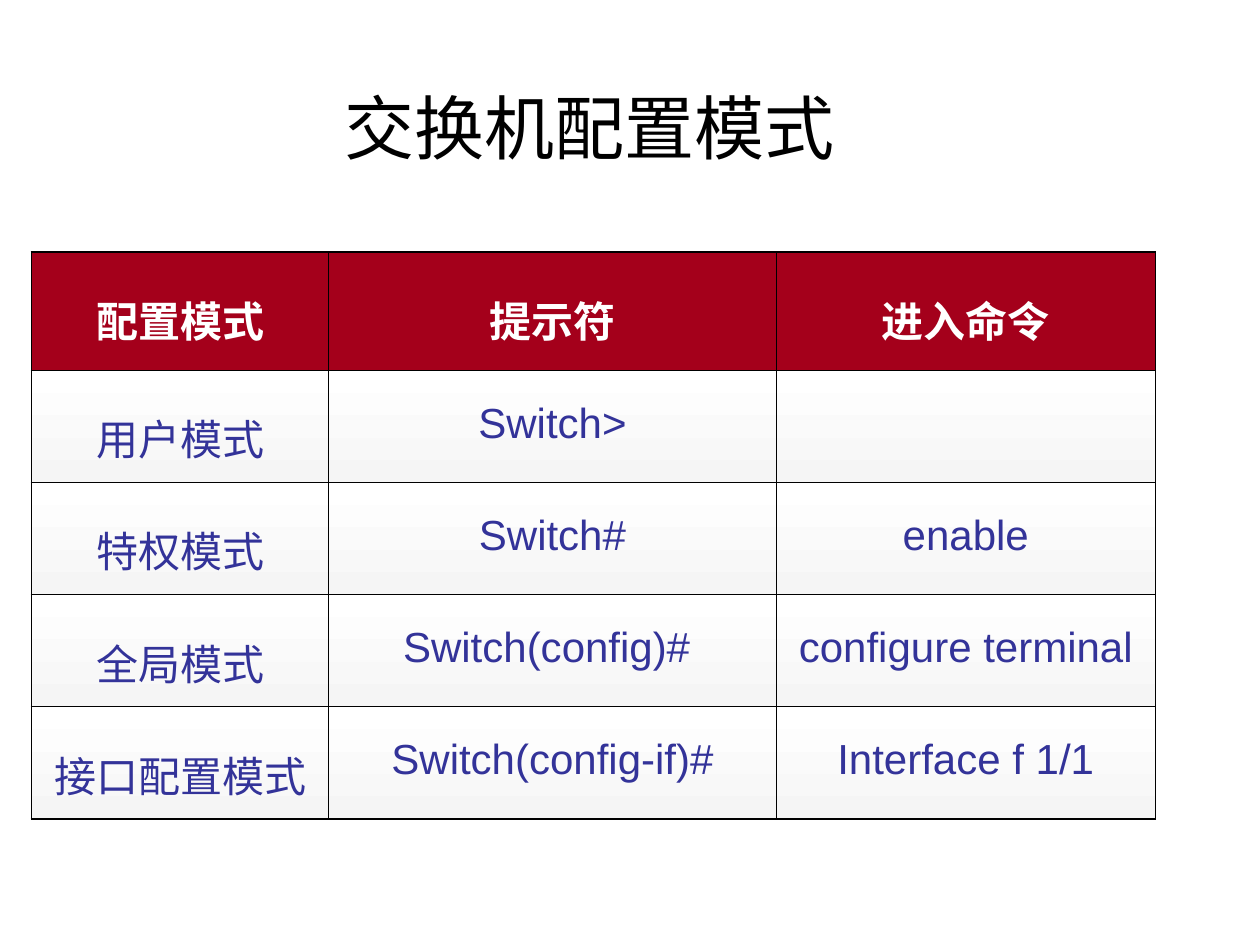
import pptx
import pptx.dml.color
import pptx.enum.text
import pptx.oxml
import pptx.oxml.ns
import pptx.util
from pptx.util import Inches

CENTER = pptx.enum.text.PP_ALIGN.CENTER
CJK = "Noto Sans CJK SC"
THIN, THICK = 0.45, 1.08


def rgb(value):
    return pptx.dml.color.RGBColor.from_string(value)


def style_run(r, size, font, color, bold=False):
    r.font.size = pptx.util.Pt(size)
    r.font.name = font
    r.font.bold = bold
    r.font.color.rgb = rgb(color)
    ea = pptx.oxml.parse_xml(f'<a:ea {pptx.oxml.ns.nsdecls("a")} typeface="{CJK}"/>')
    r.font._element.append(ea)


prs = pptx.Presentation()
prs.slide_width = Inches(10)
prs.slide_height = Inches(7.5)
s = prs.slides.add_slide(prs.slide_layouts[5])

# Title
title = s.shapes.title
title.left, title.top = Inches(0.58), Inches(0.58)
title.width, title.height = Inches(8.2), Inches(0.85)
tf = title.text_frame
tf.text = "交换机配置模式"
tf.vertical_anchor = pptx.enum.text.MSO_ANCHOR.MIDDLE
tf.paragraphs[0].alignment = CENTER
style_run(tf.paragraphs[0].runs[0], 40, "Arial", "000000")

# Table of configuration modes
rows = [
    ["配置模式", "提示符", "进入命令"],
    ["用户模式", "Switch>", ""],
    ["特权模式", "Switch#", "enable"],
    ["全局模式", "Switch(config)# ", "configure terminal"],
    ["接口配置模式", "Switch(config-if)#", "Interface f 1/1"],
]
widths = [2.36, 3.55, 3.01]
heights = [0.94] + [0.89] * 4
last_row, last_col = len(rows) - 1, len(widths) - 1

table = s.shapes.add_table(
    len(rows), len(widths), Inches(0.25), Inches(2),
    Inches(sum(widths)), Inches(sum(heights))).table
for column, width in zip(table.columns, widths):
    column.width = Inches(width)
for row, height in zip(table.rows, heights):
    row.height = Inches(height)

for i, texts in enumerate(rows):
    for j, text in enumerate(texts):
        cell = table.cell(i, j)
        header = i == 0
        if header:
            cell.fill.solid()
            cell.fill.fore_color.rgb = rgb("A4001B")
        else:
            cell.fill.gradient()
            cell.fill.gradient_angle = 270
            for stop, color in zip(cell.fill.gradient_stops, ["FFFFFF", "F5F5F5"]):
                stop.color.rgb = rgb(color)

        # Outer edges are thick, inner ones thin; borders go before the fill
        outer = {"lnL": j == 0, "lnR": j == last_col, "lnT": i == 0, "lnB": i == last_row}
        tcPr = cell._tc.get_or_add_tcPr()
        for n, (side, is_outer) in enumerate(outer.items()):
            width = pptx.util.Pt(THICK if is_outer else THIN)
            tcPr.insert(n, pptx.oxml.parse_xml(
                f'<a:{side} {pptx.oxml.ns.nsdecls("a")} w="{width}"><a:solidFill>'
                f'<a:srgbClr val="000000"/></a:solidFill></a:{side}>'))

        if text:
            cell.text_frame.text = text
            p = cell.text_frame.paragraphs[0]
            p.alignment = CENTER
            p.line_spacing = 1.5
            p.space_before = pptx.util.Pt(6)
            style_run(p.runs[0], 24, CJK if header else "Arial",
                      "FFFFFF" if header else "333399", header)

prs.save("out.pptx")
